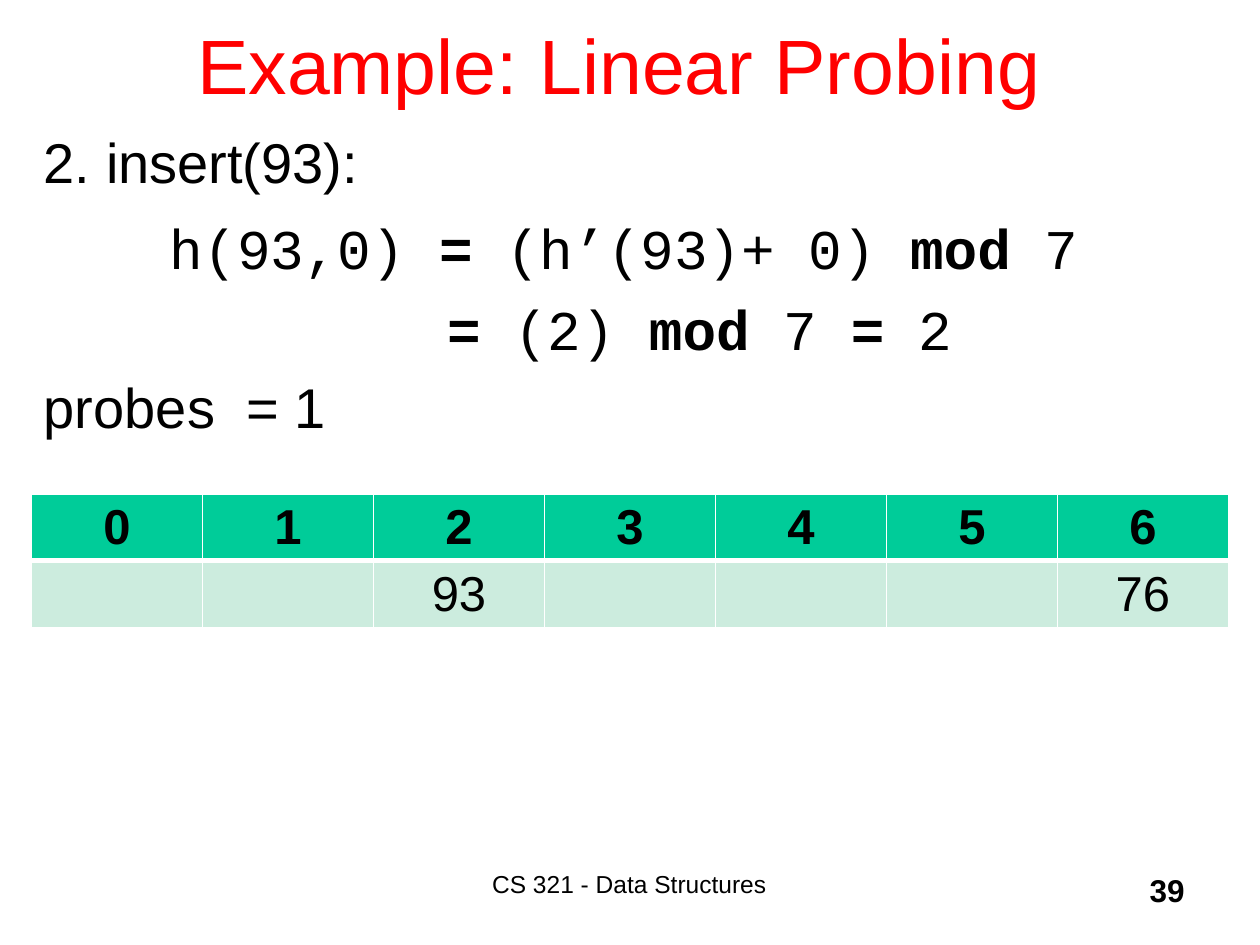
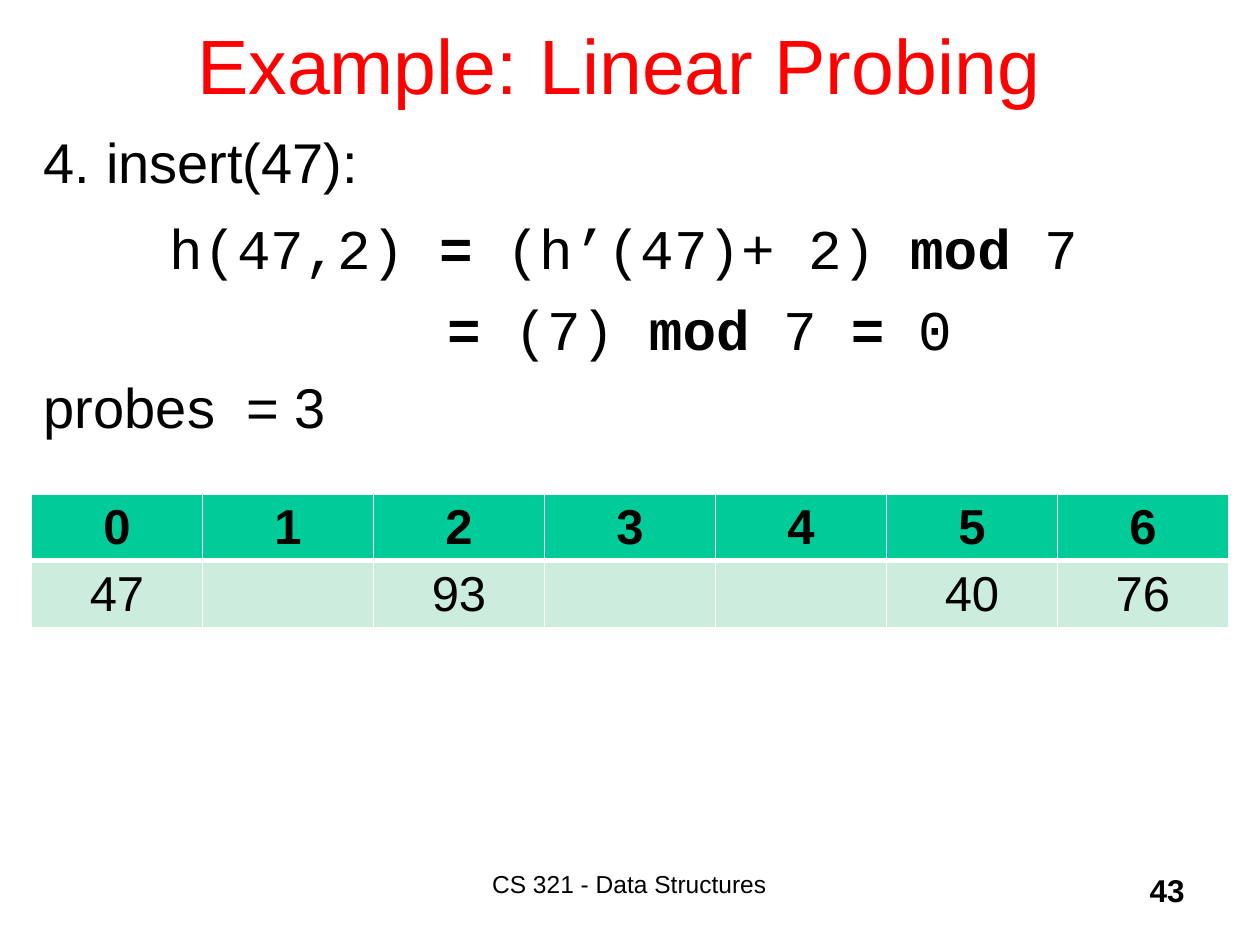
from lxml.etree import SubElement
from pptx import Presentation
from pptx.dml.color import RGBColor
from pptx.enum.text import MSO_ANCHOR, PP_ALIGN
from pptx.oxml.ns import qn
from pptx.util import Inches, Pt

RED = RGBColor(0xFF, 0x00, 0x00)
BLACK = RGBColor(0x00, 0x00, 0x00)
GREEN = RGBColor(0x00, 0xCC, 0x99)
MINT = RGBColor(0xCC, 0xEC, 0xDE)
SANS, MONO = "Arial", "Courier New"
SLOTS = 7


def write(par, text, size=32, font=SANS, color=BLACK, bold=False,
          align=PP_ALIGN.LEFT, before=0, indent=0):
    """Fill a paragraph; each * in the text switches bold on or off."""
    par.alignment = align
    par.space_before = Pt(before)
    if indent:
        props = par._p.get_or_add_pPr()
        props.set("marL", str(Inches(indent)))
        props.set("indent", "0")
    for i, part in enumerate(text.split("*")):
        if part:
            run = par.add_run()
            run.text = part
            run.font.size = Pt(size)
            run.font.name = font
            run.font.color.rgb = color
            run.font.bold = bold or i % 2 == 1


def add_box(slide, box, drop=0.0, anchor=MSO_ANCHOR.TOP):
    """Add a wrapping text box whose text sits lower by drop."""
    frame = slide.shapes.add_textbox(*map(Inches, box)).text_frame
    frame.word_wrap = True
    frame.vertical_anchor = anchor
    frame.margin_top = Inches(0.05 + drop)
    return frame


def add_frame(slide, page):
    # Title
    title = add_box(slide, (0.75, -0.17, 8.5, 1.25), 0.1, MSO_ANCHOR.MIDDLE)
    write(title.paragraphs[0], "Example: Linear Probing ", size=44,
          color=RED, align=PP_ALIGN.CENTER)
    # Footer and page number
    foot = add_box(slide, (3.08, 6.83, 3.83, 0.5), 0.02)
    write(foot.paragraphs[0], "CS 321 - Data Structures", size=14,
          align=PP_ALIGN.CENTER)
    num = add_box(slide, (7.42, 6.83, 2.08, 0.5), 0.03)
    write(num.paragraphs[0], str(page), size=18, bold=True,
          align=PP_ALIGN.RIGHT)


def add_steps(slide, box, step, key, probe, home):
    """Show the hash computation of one probe."""
    frame = add_box(slide, box, 0.04)
    total = home + probe
    write(frame.paragraphs[0], f"{step}. insert({key}):")
    write(frame.add_paragraph(),
          f"h({key},{probe}) *=* (h’({key})+ {probe}) *mod *{SLOTS}",
          font=MONO, before=11, indent=1)
    write(frame.add_paragraph(),
          f"*=* ({total}) *mod* {SLOTS} *=* {total % SLOTS}",
          font=MONO, before=8, indent=3.2)
    write(frame.add_paragraph(), f"probes  = {probe + 1}", before=6)


def set_edges(cell, **widths):
    """Draw white cell borders of the given widths in points."""
    props = cell._tc.get_or_add_tcPr()
    for i, (side, width) in enumerate(widths.items()):
        line = props.makeelement(qn(f"a:ln{side}"), {"w": str(Pt(width))})
        fill = SubElement(line, qn("a:solidFill"))
        SubElement(fill, qn("a:srgbClr"), val="FFFFFF")
        props.insert(i, line)


def add_slots(slide, box, keys):
    """Show the hash table: slot numbers above the stored keys."""
    table = slide.shapes.add_table(2, SLOTS, *map(Inches, box)).table
    for col in table.columns:
        col.width = Inches(box[2] / SLOTS)
    for r, row in enumerate(table.rows):
        row.height = Inches(box[3] / 2)
        for c, cell in enumerate(row.cells):
            head = r == 0
            cell.fill.solid()
            cell.fill.fore_color.rgb = GREEN if head else MINT
            cell.margin_top = cell.margin_bottom = Inches(0.03)
            cell.vertical_anchor = MSO_ANCHOR.MIDDLE
            set_edges(cell, L=1, R=1, T=1 if head else 3, B=3 if head else 1)
            text = str(c) if head else str(keys.get(c, ""))
            write(cell.text_frame.paragraphs[0], text, size=28, bold=head,
                  align=PP_ALIGN.CENTER)


def add_probe(deck, page, width, keys, **step):
    slide = deck.slides.add_slide(deck.slide_layouts[6])
    add_frame(slide, page)
    add_steps(slide, (0.25, 0.92, width, 2.67), **step)
    add_slots(slide, (0.25, 3.92, 9.5, 1.06), keys)


def main():
    deck = Presentation()
    deck.slide_width, deck.slide_height = Inches(10), Inches(7.5)
    add_probe(deck, 39, 9.5, {2: 93, 6: 76},
              step=2, key=93, probe=0, home=2)
    add_probe(deck, 43, 9.83, {0: 47, 2: 93, 5: 40, 6: 76},
              step=4, key=47, probe=2, home=5)
    deck.save("out.pptx")


if __name__ == "__main__":
    main()
